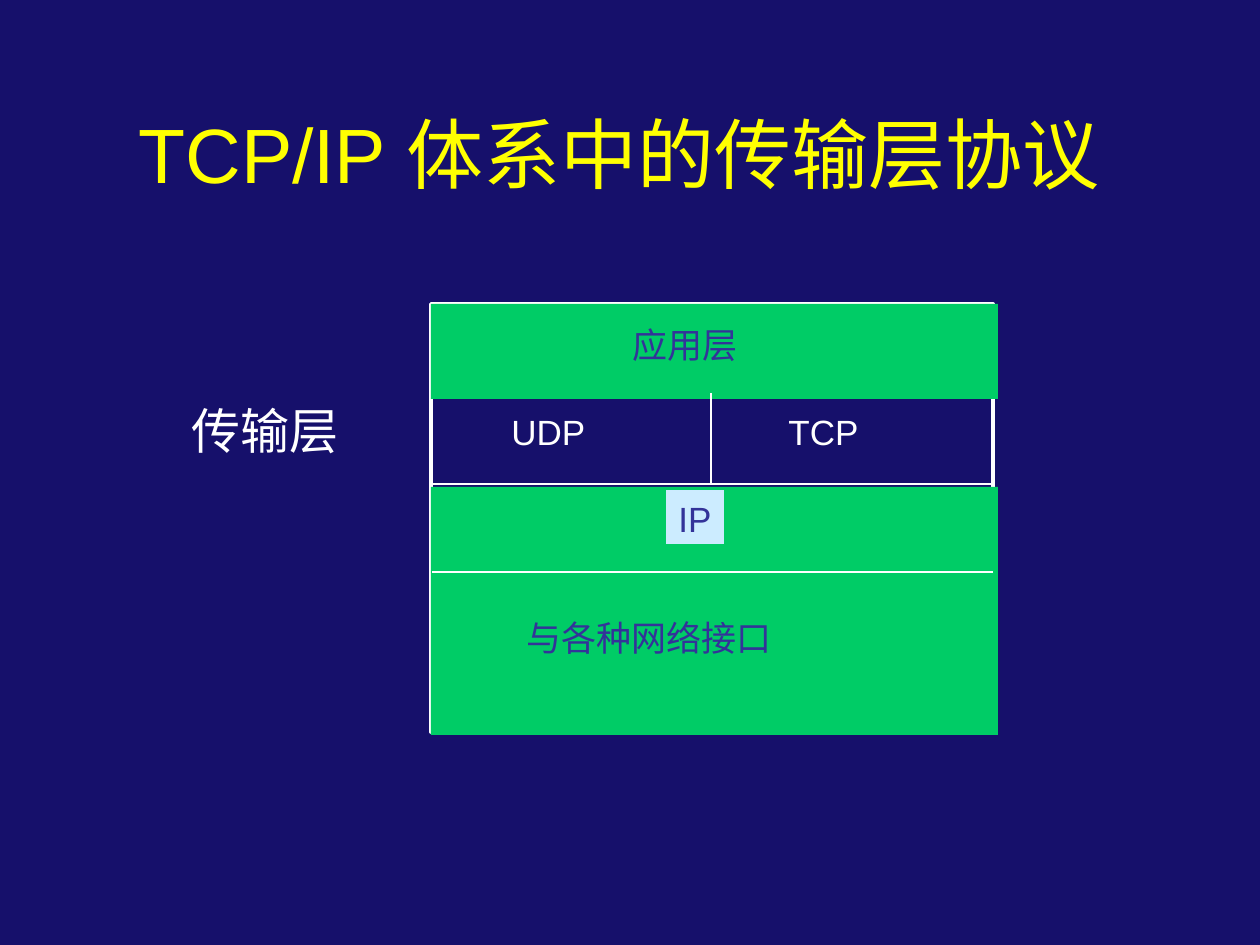
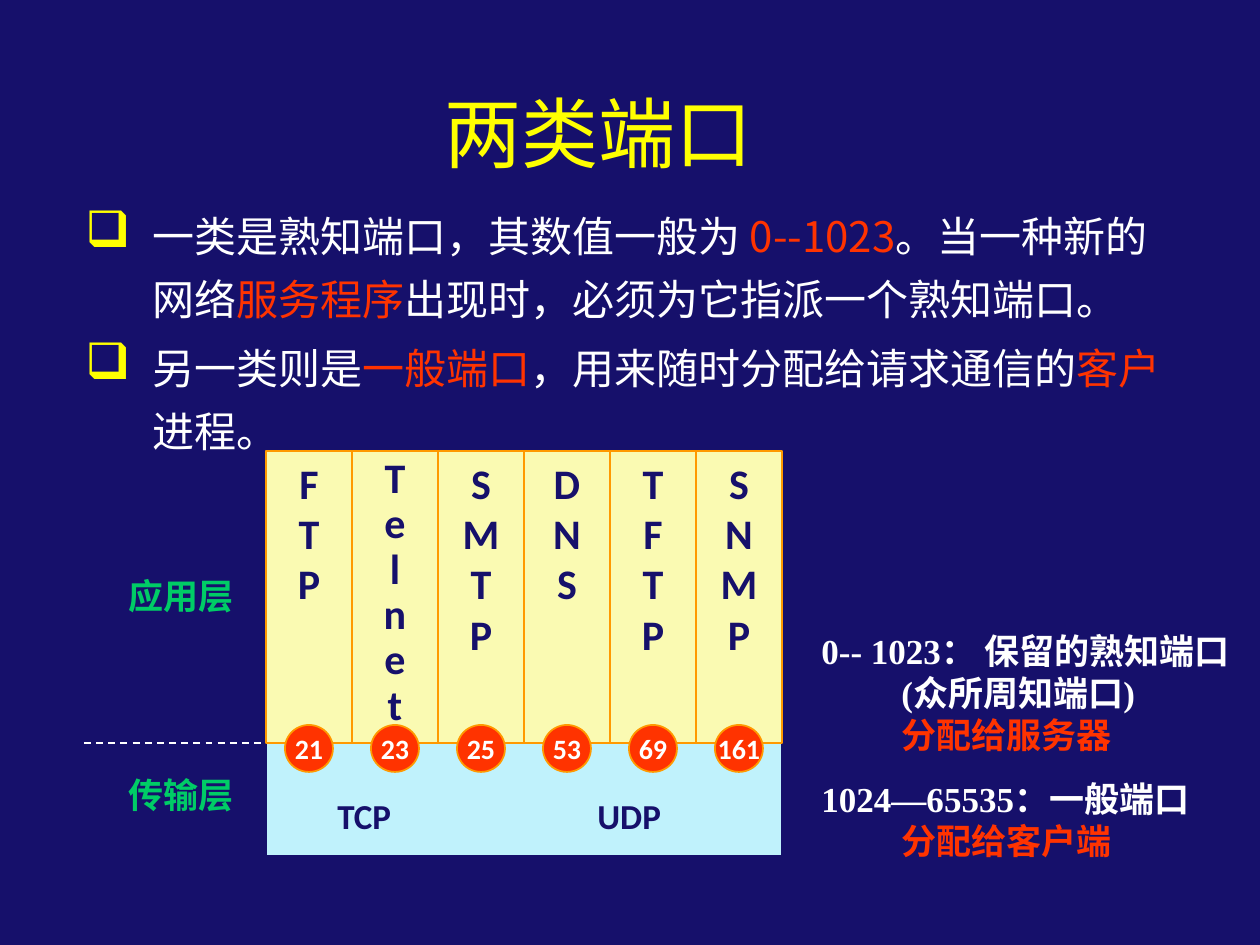
import dataclasses

import lxml.etree
import pptx
import pptx.dml.color
import pptx.enum.dml
import pptx.enum.shapes
import pptx.enum.text
import pptx.oxml.ns
import pptx.util

PX = 914400 / 126
SHAPES = pptx.enum.shapes.MSO_SHAPE
ANCHOR = pptx.enum.text.MSO_ANCHOR
ALIGN = pptx.enum.text.PP_ALIGN
qn = pptx.oxml.ns.qn


@dataclasses.dataclass(frozen=True)
class Theme:
    navy: str = "16106B"
    yellow: str = "FFFF01"
    bullet: str = "FFFF00"
    white: str = "FFFFFF"
    green: str = "00CC66"
    indigo: str = "333399"
    pale_blue: str = "CCECFF"
    aqua: str = "C0F2FC"
    cream: str = "FAFAB2"
    orange: str = "FF9900"
    red: str = "FF3300"
    title: int = 44
    heading: int = 28
    body: int = 24
    label: int = 20
    port: int = 16
    sans: str = "Arial"
    diagram: str = "Calibri"
    serif: str = "Times New Roman"
    chinese: str = "Noto Sans CJK SC"


theme = Theme()


def add_block(slide, kind, box, fill, line=None, weight=1):
    """Add a preset shape, or a plain text box when kind is None."""
    left, top, width, height = (pptx.util.Emu(round(n * PX)) for n in box)
    if kind is None:
        block = slide.shapes.add_textbox(left, top, width, height)
        block.text_frame.word_wrap = True
        return block
    block = slide.shapes.add_shape(kind, left, top, width, height)
    block.shadow.inherit = False
    block.fill.solid()
    block.fill.fore_color.rgb = pptx.dml.color.RGBColor.from_string(fill)
    if line:
        block.line.color.rgb = pptx.dml.color.RGBColor.from_string(line)
        block.line.width = pptx.util.Pt(weight)
    else:
        block.line.fill.background()
    block.text_frame.word_wrap = False
    return block


def write(block, paragraphs, font, size, bold=False, align=ALIGN.LEFT,
          anchor=ANCHOR.TOP, spacing=None):
    """Fill a block with paragraphs, each a list of (text, colour) runs."""
    frame = block.text_frame
    frame.vertical_anchor = anchor
    for index, pieces in enumerate(paragraphs):
        paragraph = frame.paragraphs[0] if index == 0 else frame.add_paragraph()
        paragraph.alignment = align
        paragraph.line_spacing = spacing or pptx.util.Pt(size * 1.25)
        for text, colour in pieces:
            run = paragraph.add_run()
            run.text = text
            run.font.size = pptx.util.Pt(size)
            run.font.bold = bold
            run.font.color.rgb = pptx.dml.color.RGBColor.from_string(colour)
            run.font.name = font
            lxml.etree.SubElement(run.font._element, qn("a:ea"), typeface=theme.chinese)
    return frame.paragraphs


deck = pptx.Presentation()
deck.slide_width = pptx.util.Emu(round(1260 * PX))
deck.slide_height = pptx.util.Emu(round(945 * PX))

slides = []
for heading, left, top in (("TCP/IP 体系中的传输层协议", 84, 88), ("两类端口", 63, 67)):
    slide = deck.slides.add_slide(deck.slide_layouts[6])
    slide.background.fill.solid()
    slide.background.fill.fore_color.rgb = pptx.dml.color.RGBColor.from_string(theme.navy)
    write(add_block(slide, None, (left, top, 1071, 126), None), [[(heading, theme.yellow)]],
          theme.sans, theme.title, align=ALIGN.CENTER, anchor=ANCHOR.MIDDLE)
    slides.append(slide)
stack, ports = slides

# Slide 1: protocol stack
add_block(stack, SHAPES.RECTANGLE, (431, 304, 562, 428), theme.navy, theme.white, 2)
for top, height in ((304, 95), (487, 248)):
    add_block(stack, SHAPES.RECTANGLE, (431, top, 567, height), theme.green)

for layer, left, top, width, colour in (
    ("TCP", 776, 403, 110, theme.white),
    ("UDP", 499, 403, 110, theme.white),
    ("应用层", 620, 316, 150, theme.indigo),
    ("与各种网络接口", 514, 609, 428, theme.indigo),
):
    write(add_block(stack, None, (left, top, width, 54), None), [[(layer, colour)]],
          theme.sans, theme.label)
write(add_block(stack, SHAPES.RECTANGLE, (666, 490, 58, 54), theme.pale_blue),
      [[("IP", theme.indigo)]], theme.sans, theme.label, align=ALIGN.CENTER)
write(add_block(stack, None, (179, 392, 190, 72), None), [[("传输层", theme.white)]],
      "Lato", theme.heading)

# Slide 2: port classes
port_classes = [
    [("一类是熟知端口，其数值一般为 ", theme.white), ("0--1023", theme.red),
     ("。当一种新的网络", theme.white), ("服务程序", theme.red),
     ("出现时，必须为它指派一个熟知端口。", theme.white)],
    [("另一类则是", theme.white), ("一般端口", theme.red),
     ("，用来随时分配给请求通信的", theme.white), ("客户", theme.red), ("进程。", theme.white)],
]
points = write(add_block(ports, None, (73, 192, 1124, 346), None), port_classes,
               theme.chinese, theme.body, spacing=pptx.util.Pt(36))
points[1].space_before = pptx.util.Pt(3)
for point in points:
    props = point._p.get_or_add_pPr()
    props.set("marL", str(round(67 * PX)))
    props.set("indent", str(round(-67 * PX)))
    tint = lxml.etree.SubElement(props, qn("a:buClr"))
    lxml.etree.SubElement(tint, qn("a:srgbClr"), val=theme.bullet)
    lxml.etree.SubElement(props, qn("a:buSzPct"), val="120000")
    lxml.etree.SubElement(props, qn("a:buChar"), char="❑")

add_block(ports, SHAPES.RECTANGLE, (266, 743, 516, 113), theme.aqua, theme.navy)
services = (("FTP", 21), ("Telnet", 23), ("SMTP", 25), ("DNS", 53), ("TFTP", 69), ("SNMP", 161))
for index, (service, port) in enumerate(services):
    left = 266 + 86 * index
    column = add_block(ports, SHAPES.RECTANGLE, (left, 451, 86, 292), theme.cream, theme.orange)
    write(column, [[(letter, theme.navy)] for letter in service], theme.diagram, theme.body,
          bold=True, align=ALIGN.CENTER, spacing=0.9 if len(service) > 4 else 1.0)
    badge = add_block(ports, SHAPES.OVAL, (left + 19, 725, 48, 47), theme.red, theme.orange)
    write(badge, [[(str(port), theme.white)]], theme.diagram, theme.port,
          bold=True, align=ALIGN.CENTER, anchor=ANCHOR.MIDDLE, spacing=1.0)

for label, left, top, colour in (
    ("TCP", 325, 787, theme.navy),
    ("UDP", 585, 787, theme.navy),
    ("应用层", 116, 567, theme.green),
    ("传输层", 116, 766, theme.green),
):
    write(add_block(ports, None, (left, top, 150, 55), None), [[(label, colour)]],
          theme.diagram, theme.label, bold=True)

range_notes = [
    [("0-- 1023： 保留的熟知端口", theme.white)],
    [("(众所周知端口)", theme.white)],
    [("分配给服务器", theme.red)],
    [("1024—65535：一般端口", theme.white)],
    [("分配给客户端", theme.red)],
]
notes = write(add_block(ports, None, (809, 623, 451, 241), None), range_notes,
              theme.serif, theme.label, bold=True, spacing=pptx.util.Pt(24))
notes[3].space_before = pptx.util.Pt(12.5)
for index in (1, 2, 4):
    notes[index]._p.get_or_add_pPr().set("marL", str(round(80 * PX)))

# Dividers
for slide, ends, dashed in (
    (stack, (432, 484, 995, 484), False),
    (stack, (711, 393, 711, 483), False),
    (stack, (432, 572, 993, 572), False),
    (ports, (84, 743, 266, 743), True),
):
    divider = slide.shapes.add_connector(
        pptx.enum.shapes.MSO_CONNECTOR.STRAIGHT,
        *(pptx.util.Emu(round(n * PX)) for n in ends))
    divider.line.color.rgb = pptx.dml.color.RGBColor.from_string(theme.white)
    divider.line.width = pptx.util.Pt(1)
    if dashed:
        divider.line.dash_style = pptx.enum.dml.MSO_LINE.DASH
    lxml.etree.SubElement(divider._element.spPr, qn("a:effectLst"))

deck.save("out.pptx")
